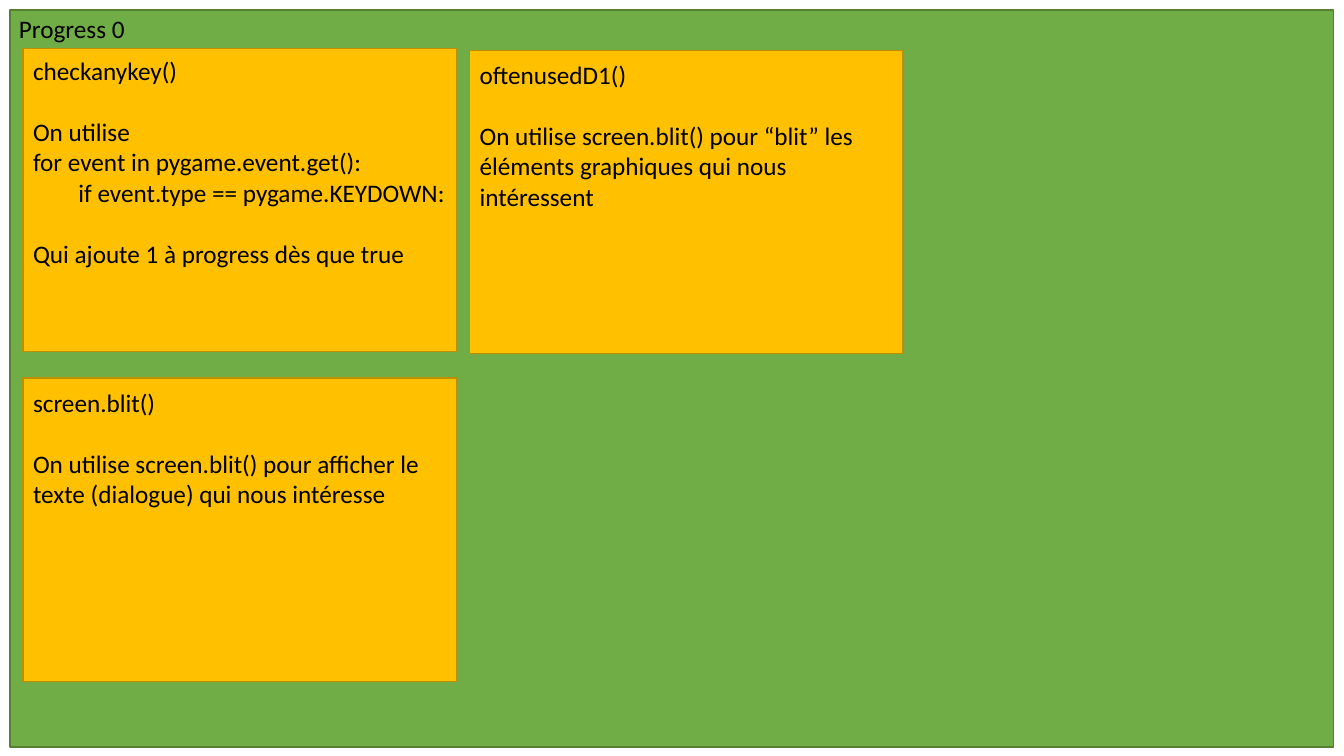
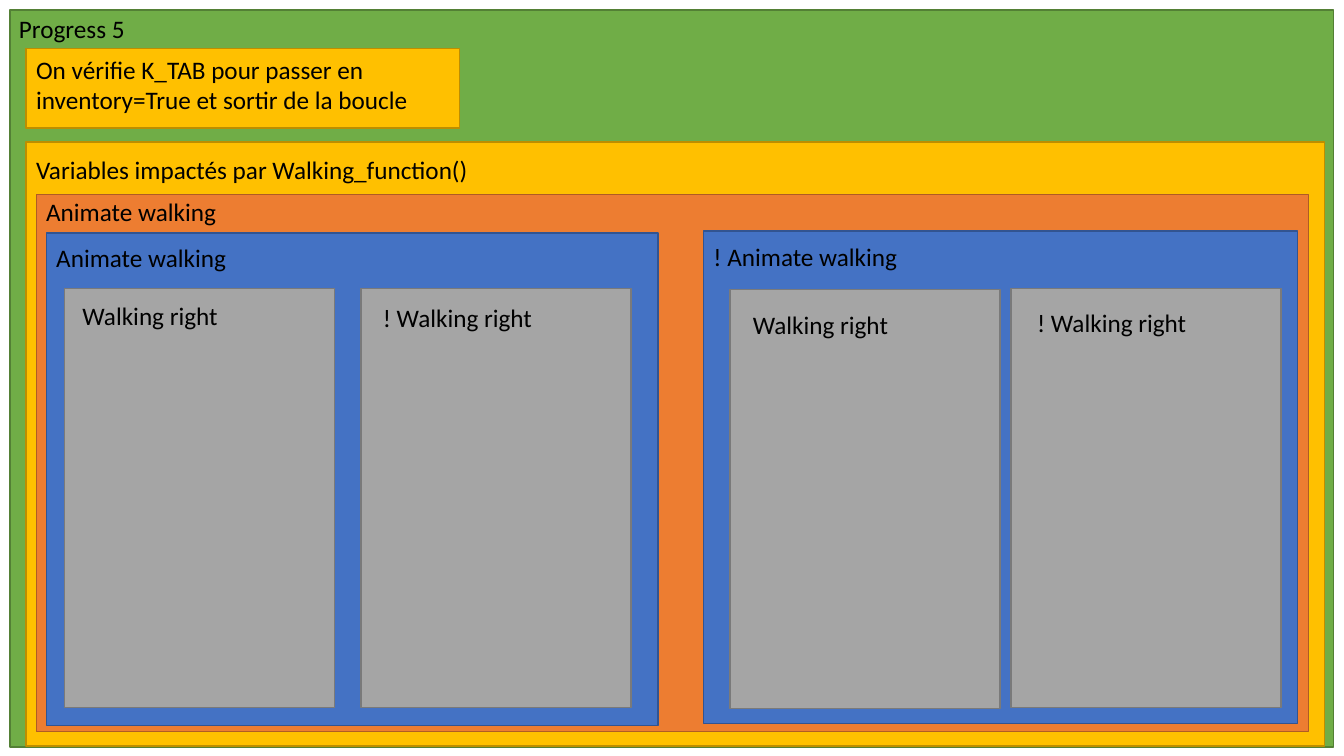
"""Builds two nested-panel slides that describe the game's progress steps."""
from pptx import Presentation, util as u
from pptx.dml.color import RGBColor
from pptx.enum import shapes, text

COLS, ROWS = 133.33, 75
COLOURS = {
    "step": ("70AD47", "538035"),
    "function": ("FFC000", "BD8E00"),
    "animation": ("ED7D31", "AF5C24"),
    "state": ("4472C4", "325491"),
    "direction": ("A5A5A5", "7A7A7A"),
    "text": "000000",
}
FONT = {"name": "Calibri", "size": u.Pt(18)}
FRAME = {"word_wrap": True, "vertical_anchor": text.MSO_ANCHOR.TOP}
LINE_GAP = u.Pt(22)
CODE_INDENT = u.Inches(0.45)
CARD_W, CARD_H = 43, 30.1
LABEL_W, LABEL_H = 21, 4


def grid(*cells):
    """Turns grid cells, ten to the inch, into lengths."""
    return [u.Inches(cell / 10) for cell in cells]


def rgb(value):
    """Turns a hex string into a colour."""
    return RGBColor.from_string(value)


def apply(target, formats):
    """Sets every attribute in a dict of formats."""
    for name, value in formats.items():
        setattr(target, name, value)


def panel(s, kind, left, top, width, height):
    """Draws a filled rectangle in the colours of its kind."""
    fill, line = COLOURS[kind]
    sp = s.shapes.add_shape(shapes.MSO_SHAPE.RECTANGLE, *grid(left, top, width, height))
    sp.shadow.inherit = False
    sp.fill.solid()
    sp.fill.fore_color.rgb = rgb(fill)
    sp.line.color.rgb = rgb(line)
    sp.line.width = u.Pt(1)


def label(s, blocks, left, top, width=LABEL_W, height=LABEL_H):
    """Writes blocks of lines, a line's gap between blocks; tabbed lines are indented."""
    tf = s.shapes.add_textbox(*grid(left, top, width, height)).text_frame
    apply(tf, FRAME)
    lines = [(line, i > 0 and j == 0)
             for i, block in enumerate(blocks)
             for j, line in enumerate(block.split("\n"))]
    for i, (line, gap) in enumerate(lines):
        p = tf.add_paragraph() if i else tf.paragraphs[0]
        if gap:
            p.space_before = LINE_GAP
        if line.startswith("\t"):
            p._p.get_or_add_pPr().set("marL", str(CODE_INDENT))
        r = p.add_run()
        r.text = line.strip()
        apply(r.font, FONT)
        r.font.color.rgb = rgb(COLOURS["text"])


def card(s, blocks, left, top, drop, text_height, width=CARD_W, height=CARD_H):
    """Draws a function card with its text a little below the top edge."""
    panel(s, "function", left, top, width, height)
    label(s, blocks, left, top + drop, width, text_height)


def step_slide(prs, title):
    """Adds a blank slide with the green step panel and its title."""
    s = prs.slides.add_slide(prs.slide_layouts[6])
    panel(s, "step", 1, 1, 131.3, 73.1)
    label(s, [title], 0.9, 0.8, 13.4)
    return s


def state(s, title, left, top, width, directions):
    """Draws an animation state with a labelled panel for each direction."""
    panel(s, "state", left, top, width, 48.9)
    label(s, [title], left, top + 0.5)
    for name, x, y, dx, dy in directions:
        panel(s, "direction", x, y, 26.8, 41.6)
        label(s, [name], x + dx, y + dy)


def start_slide(prs):
    """Builds the slide of the first step."""
    s = step_slide(prs, "Progress 0")
    card(s, ["checkanykey()",
             "On utilise\nfor event in pygame.event.get():\n"
             "\tif event.type == pygame.KEYDOWN:",
             "Qui ajoute 1 à progress dès que true"], 2.3, 4.8, 0.2, 22.2)
    card(s, ["oftenusedD1()",
             "On utilise screen.blit() pour “blit” les éléments graphiques "
             "qui nous intéressent"], 46.6, 5, 0.4, 25.1)
    card(s, ["screen.blit()",
             "On utilise screen.blit() pour afficher le texte (dialogue) "
             "qui nous intéresse"], 2.3, 37.5, 0.4, 20.4)


def walking_slide(prs):
    """Builds the slide of the walking step."""
    s = step_slide(prs, "Progress 5")
    card(s, ["On vérifie K_TAB pour passer en inventory=True et sortir de la boucle"],
         2.6, 4.8, 0.1, 7, height=7.9)
    card(s, ["Variables impactés par Walking_function()"],
         2.6, 14.1, 0.7, LABEL_H, 128.8, 59.9)
    panel(s, "animation", 3.6, 19.3, 126.2, 53.3)
    label(s, ["Animate walking"], 3.6, 19)
    state(s, "Animate walking", 4.6, 23.1, 60.7,
          [("Walking right", 6.4, 28.6, 0.8, 0.7),
           ("! Walking right", 35.8, 28.6, 1.2, 0.9)])
    state(s, "! Animate walking", 69.8, 22.9, 58.9,
          [("Walking right", 72.4, 28.7, 1.3, 1.5),
           ("! Walking right", 100.3, 28.6, 1.6, 1.4)])


def main():
    """Builds and saves the presentation."""
    prs = Presentation()
    prs.slide_width, prs.slide_height = grid(COLS, ROWS)
    start_slide(prs)
    walking_slide(prs)
    prs.save("out.pptx")


main()
